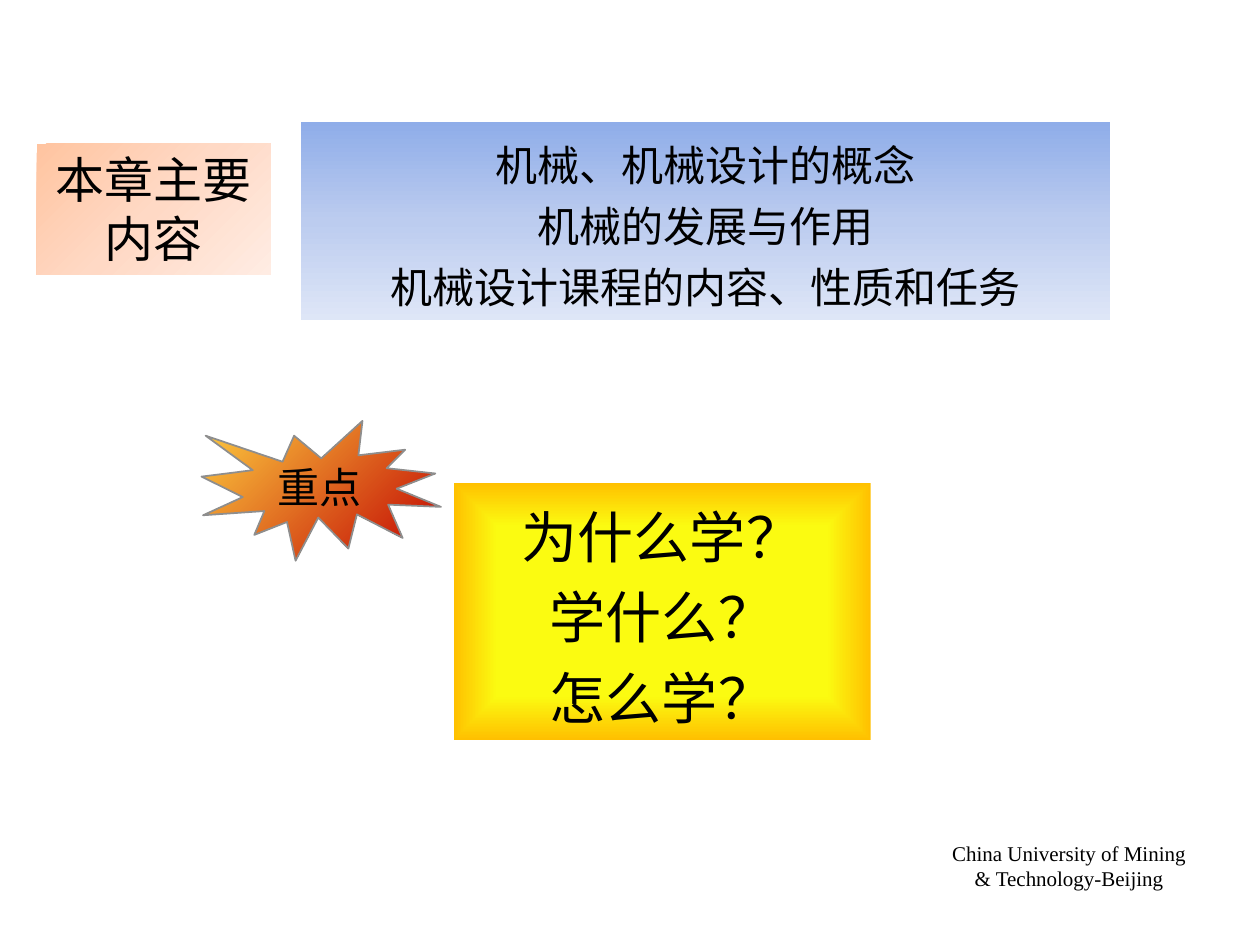
from pptx import Presentation
from pptx.dml.color import RGBColor
from pptx.enum.lang import MSO_LANGUAGE_ID
from pptx.enum.shapes import MSO_SHAPE
from pptx.enum.text import MSO_ANCHOR, PP_ALIGN
from pptx.oxml import parse_xml
from pptx.oxml.ns import nsdecls, qn
from pptx.util import Inches, Pt

COLORS = {
    "text": "000000", "outline": "8E8E8E",
    "yellow": "FBFB11", "amber": "FFC000",
    "gold": "FECF40", "red": "C00000",
    "blue": "8FADE9", "mid_blue": "BCCCEF", "pale_blue": "DEE6F7",
    "peach": "FFC4A0", "mid_peach": "FFD9C5", "pale_peach": "FFECE3",
}
CHINESE, LATIN = "Noto Sans CJK SC", "Times New Roman"


def write_text(shape, lines, size, font=CHINESE, spacing=None, anchor=MSO_ANCHOR.TOP):
    """Fill a shape with centred paragraphs in one format."""
    frame = shape.text_frame
    frame.word_wrap = True
    frame.vertical_anchor = anchor
    for index, line in enumerate(lines):
        paragraph = frame.paragraphs[0] if index == 0 else frame.add_paragraph()
        paragraph.alignment = PP_ALIGN.CENTER
        if spacing:
            paragraph.line_spacing = spacing
        run = paragraph.add_run()
        run.text = line
        run.font.size = Pt(size)
        run.font.name = font
        run.font.color.rgb = RGBColor.from_string(COLORS["text"])
        if font == CHINESE:
            run.font.language_id = MSO_LANGUAGE_ID.SIMPLIFIED_CHINESE
            run.font._element.find(qn("a:latin")).addnext(
                parse_xml(f'<a:ea {nsdecls("a")} typeface="{font}"/>'))


class ChapterSlide:
    """Style and current slide; places are columns and rows of a 100 x 75 grid."""

    def __init__(self, deck):
        self.slide = deck.slides.add_slide(deck.slide_layouts[6])
        self.column = deck.slide_width / 100
        self.row = deck.slide_height / 75

    def place(self, left, top, width, height):
        return (round(left * self.column), round(top * self.row),
                round(width * self.column), round(height * self.row))

    def label(self, area, lines, **text_format):
        box = self.slide.shapes.add_textbox(*self.place(*area))
        write_text(box, lines, **text_format)

    def panel(self, area, lines, stops, angle=None, kind=MSO_SHAPE.RECTANGLE,
              outline=None, **text_format):
        """Gradient shape; without an angle the gradient runs from the centre."""
        panel = self.slide.shapes.add_shape(kind, *self.place(*area))
        panel.shadow.inherit = False
        if outline:
            panel.line.color.rgb = RGBColor.from_string(COLORS[outline])
            panel.line.width = Pt(1)
        else:
            panel.line.fill.background()
        self.gradient(panel, stops, angle)
        write_text(panel, lines, **text_format)

    def gradient(self, panel, stops, angle):
        colors = "".join(
            f'<a:gs pos="{share * 1000}"><a:srgbClr val="{COLORS[name]}"/></a:gs>'
            for share, name in stops)
        if angle is None:
            direction = ('<a:path path="shape"><a:fillToRect l="50000" t="50000" '
                         'r="50000" b="50000"/></a:path>')
        else:
            direction = f'<a:lin ang="{angle * 60000}" scaled="0"/>'
        panel._element.spPr.find(qn("a:prstGeom")).addnext(parse_xml(
            f'<a:gradFill {nsdecls("a")} rotWithShape="1">'
            f'<a:gsLst>{colors}</a:gsLst>{direction}</a:gradFill>'))


def main():
    deck = Presentation()
    deck.slide_width, deck.slide_height = Inches(10), Inches(7.5)
    chapter = ChapterSlide(deck)

    # University name
    chapter.label((74.5, 66.2, 20.7, 3.3),
                  ["China University of Mining & Technology-Beijing"],
                  size=12, font=LATIN)

    # Key questions and their burst
    chapter.panel((36, 38.3, 33.1, 20.4), ["为什么学？", "学什么？", "怎么学？"],
                  [(66, "yellow"), (100, "amber")], size=32, spacing=1.2)
    chapter.panel((16, 33.4, 19, 11.1), ["重点"], [(0, "gold"), (100, "red")],
                  angle=45, kind=MSO_SHAPE.EXPLOSION1, outline="outline",
                  size=24, anchor=MSO_ANCHOR.MIDDLE)

    # Chapter contents and their heading
    chapter.panel((23.9, 9.7, 64.2, 15.7),
                  ["机械、机械设计的概念", "机械的发展与作用",
                   "机械设计课程的内容、性质和任务"],
                  [(0, "blue"), (50, "mid_blue"), (100, "pale_blue")],
                  angle=90, size=24, spacing=Pt(35))
    chapter.panel((2.9, 11.4, 18.6, 10.4), ["本章主要内容"],
                  [(0, "peach"), (50, "mid_peach"), (100, "pale_peach")],
                  angle=45, size=28)

    deck.save("out.pptx")


if __name__ == "__main__":
    main()
